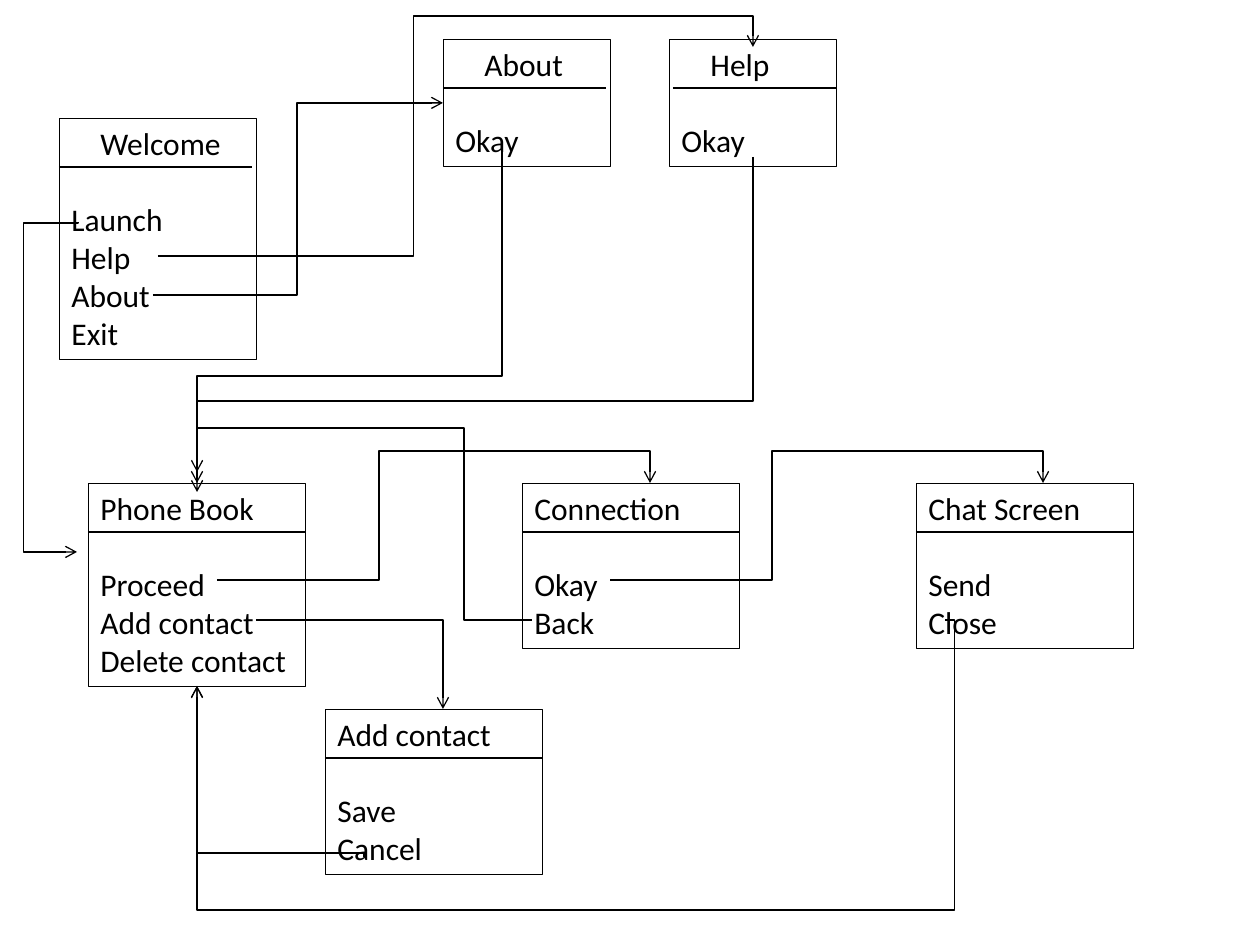
from dataclasses import dataclass

from lxml.etree import SubElement
from pptx import Presentation
from pptx.dml.color import RGBColor
from pptx.enum.shapes import MSO_CONNECTOR, MSO_SHAPE
from pptx.enum.text import MSO_ANCHOR, MSO_AUTO_SIZE, PP_ALIGN
from pptx.oxml.ns import qn
from pptx.util import Emu, Pt

EMU_PER_PX = 914400 / 126


@dataclass(frozen=True)
class Theme:
    ink: RGBColor = RGBColor(0, 0, 0)
    font: str = "Calibri"
    text_size: Pt = Pt(18)
    item_gap: Pt = Pt(22)
    border: Pt = Pt(0.25)
    line: Pt = Pt(0.75)


THEME = Theme()
LINE_HEIGHT, PADDING, DIVIDER_DROP = 38, 13, 49

# title, items, left, top, width, title indent, divider inset left and right
SCREENS = [
    ("Welcome", ["Launch", "Help", "About", "Exit"], 59, 118, 197, 29, 0, 4),
    ("About", ["Okay"], 443, 39, 167, 29, 0, 4),
    ("Help", ["Okay"], 669, 39, 167, 29, 4, 0),
    ("Phone Book", ["Proceed", "Add contact", "Delete contact"], 88, 483, 217, 0, 0, 0),
    ("Connection", ["Okay", "Back"], 522, 483, 217, 0, 0, 0),
    ("Chat Screen", ["Send", "Close"], 916, 483, 217, 0, 0, 0),
    ("Add contact", ["Save", "Cancel"], 325, 709, 217, 0, 0, 0),
]

# start, end, first heading in degrees clockwise from right, lanes to turn at
ROUTES = [
    ((158, 256), (753, 47), 0, [413, 16]),      # Welcome: Help
    ((153, 295), (443, 103), 0, [297]),         # Welcome: About
    ((78, 222), (77, 552), 90, [223, 23]),      # Welcome: Launch
    ((502, 148), (197, 492), 90, [376]),        # About: Okay
    ((753, 157), (197, 472), 90, [401]),        # Help: Okay
    ((217, 580), (650, 483), 0, [379, 451]),    # Phone Book: Proceed
    ((256, 620), (443, 709), 0, []),            # Phone Book: Add contact
    ((610, 580), (1043, 483), 0, [772, 451]),   # Connection: Okay
    ((532, 620), (197, 483), 180, [464, 428]),  # Connection: Back
    ((945, 620), (197, 686), 180, [955, 910]),  # Chat Screen: Close
    ((364, 857), (197, 686), 270, [853]),       # Add contact: Cancel
]


def px(value):
    return Emu(round(value * EMU_PER_PX))


def add_line(shapes, kind, x1, y1, x2, y2):
    line = shapes.add_connector(kind, px(x1), px(y1), px(x2), px(y2))
    line.line.color.rgb = THEME.ink
    line.line.width = THEME.line
    SubElement(line.element.spPr, qn("a:effectLst"))
    return line


def add_text(para, text):
    para.alignment = PP_ALIGN.LEFT
    span = para.add_run()
    span.text = text
    span.font.name = THEME.font
    span.font.size = THEME.text_size
    span.font.color.rgb = THEME.ink


def add_screen(page, title, items, left, top, width, indent, inset_left, inset_right):
    group = page.shapes.add_group_shape()
    height = PADDING + LINE_HEIGHT * (len(items) + 2)

    # Outline
    box = group.shapes.add_shape(
        MSO_SHAPE.RECTANGLE, px(left), px(top), px(width), px(height))
    box.shadow.inherit = False
    box.fill.background()
    box.line.color.rgb = THEME.ink
    box.line.width = THEME.border

    # Title and menu items
    frame = box.text_frame
    frame.word_wrap = True
    frame.vertical_anchor = MSO_ANCHOR.TOP
    frame.auto_size = MSO_AUTO_SIZE.SHAPE_TO_FIT_TEXT
    heading = frame.paragraphs[0]
    add_text(heading, title)
    if indent:
        heading._p.get_or_add_pPr().set("marL", str(px(indent)))
    for index, item in enumerate(items):
        para = frame.add_paragraph()
        if index == 0:
            para.space_before = THEME.item_gap
        add_text(para, item)

    # Divider
    level = top + DIVIDER_DROP
    add_line(group.shapes, MSO_CONNECTOR.STRAIGHT,
             left + inset_left, level, left + width - inset_right, level)


def add_route(page, start, end, heading, lanes):
    dx, dy = end[0] - start[0], end[1] - start[1]
    upright = heading in (90, 270)
    width, height = (abs(dy), abs(dx)) if upright else (abs(dx), abs(dy))
    sideways = {0: dy, 90: -dx, 180: -dy, 270: dx}[heading]

    # Frame before rotation, centred between both ends
    left = (start[0] + end[0] - width) / 2
    top = (start[1] + end[1] - height) / 2
    y1, y2 = (top, top + height) if sideways >= 0 else (top + height, top)
    route = add_line(page.shapes, MSO_CONNECTOR.ELBOW, left, y1, left + width, y2)
    properties = route.element.spPr
    properties.find(qn("a:xfrm")).set("rot", str(heading * 60000))

    # Each lane is a share of the distance along its own axis
    geometry = properties.find(qn("a:prstGeom"))
    geometry.set("prst", f"bentConnector{len(lanes) + 2}")
    guides = geometry.find(qn("a:avLst"))
    for index, lane in enumerate(lanes):
        axis = (index + upright) % 2
        share = (lane - start[axis]) / (end[axis] - start[axis])
        SubElement(guides, qn("a:gd"), name=f"adj{index + 1}",
                   fmla=f"val {round(share * 100000)}")

    # Arrowhead
    SubElement(properties.find(qn("a:ln")), qn("a:tailEnd"), type="arrow")


def main():
    deck = Presentation()
    deck.slide_width, deck.slide_height = px(1260), px(945)
    page = deck.slides.add_slide(deck.slide_layouts[6])
    for screen in SCREENS:
        add_screen(page, *screen)
    for route in ROUTES:
        add_route(page, *route)
    deck.save("out.pptx")


if __name__ == "__main__":
    main()
